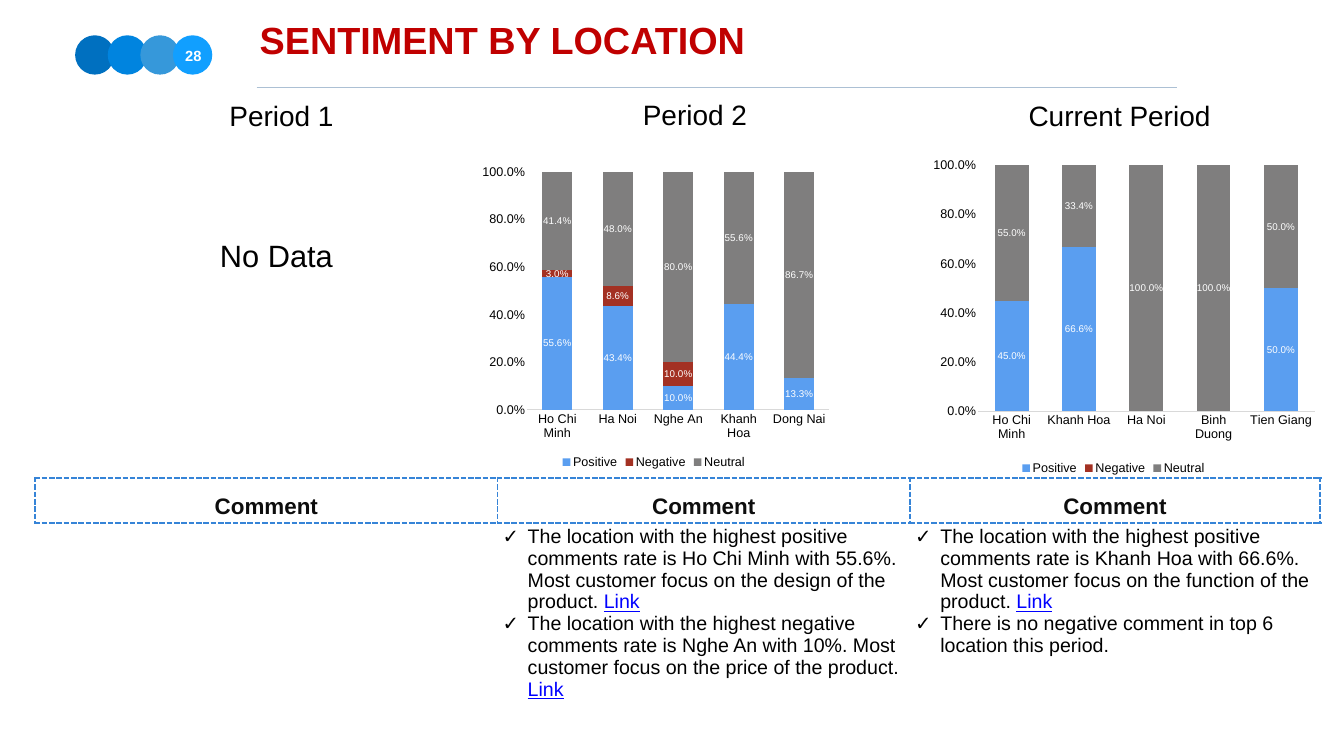
"""Build the slide that compares sentiment by location across three periods."""
from dataclasses import dataclass

from lxml.etree import SubElement
from pptx import Presentation
from pptx.chart.data import CategoryChartData
from pptx.dml.color import RGBColor
from pptx.enum.chart import XL_CHART_TYPE as ChartType, XL_LABEL_POSITION as LabelPosition
from pptx.enum.chart import XL_LEGEND_POSITION as LegendPosition, XL_TICK_MARK as TickMark
from pptx.enum.shapes import MSO_CONNECTOR as Connector, MSO_SHAPE as Shape
from pptx.enum.text import MSO_ANCHOR as Anchor, MSO_AUTO_SIZE as AutoSize, PP_ALIGN as Align
from pptx.oxml import parse_xml
from pptx.oxml.ns import nsdecls, qn
from pptx.util import Pt


@dataclass(frozen=True)
class Theme:
    font: str = "Arial"
    title: str = "C00000"
    text: str = "000000"
    header: str = "0D0D0D"
    white: str = "FFFFFF"
    link: str = "0000FF"
    rule: str = "ACC0D4"
    axis: str = "D9D9D9"
    border: str = "3684D7"
    circles: tuple = ("0070C0", "0084DF", "3698DA", "119FFF")
    series: tuple = ("5A9EF0", "A33123", "7F7E7E")
    title_size: int = 54
    empty_size: int = 44
    heading_size: int = 40
    header_size: int = 32
    body_size: int = 28
    number_size: int = 21
    chart_size: int = 18
    label_size: int = 14


THEME = Theme()
TITLE = "SENTIMENT BY LOCATION"
PAGE_NUMBER = "28"
SERIES = ("Positive", "Negative", "Neutral")
HEADINGS = [
    ("Period 1", (297.4, 136, 209.5, 57)),
    ("Period 2", (902.9, 135.4, 180, 57)),
    ("Current Period", (1454.4, 136, 290.2, 57)),
]
CHARTS = [
    {
        "box": (671, 192.2, 526.3, 481.7),
        "plot": (0.156, 0.111, 0.821, 0.705),
        "locations": ("Ho Chi Minh", "Ha Noi", "Nghe An", "Khanh Hoa", "Dong Nai"),
        "values": (
            (0.556, 0.434, 0.1, 0.444, 0.133),
            (0.03, 0.086, 0.1, None, None),
            (0.414, 0.48, 0.8, 0.556, 0.867),
        ),
    },
    {
        "box": (1300.3, 226, 581, 456.5),
        "plot": (0.167, 0.022, 0.828, 0.77),
        "locations": ("Ho Chi Minh", "Khanh Hoa", "Ha Noi", "Binh Duong", "Tien Giang"),
        "values": (
            (0.45, 0.666, None, None, 0.5),
            (None,) * 5,
            (0.55, 0.334, 1, 1, 0.5),
        ),
    },
]
COMMENTS = [
    [],
    [
        ("The location with the highest positive comments rate is Ho Chi Minh with 55.6%. "
         "Most customer focus on the design of the product. ", "Link"),
        ("The location with the highest negative comments rate is Nghe An with 10%. "
         "Most customer focus on the price of the product. ", "Link"),
    ],
    [
        ("The location with the highest positive comments rate is Khanh Hoa with 66.6%. "
         "Most customer focus on the function of the product. ", "Link"),
        ("There is no negative comment in top 6 location this period.", ""),
    ],
]
COLUMN_EDGES = (50.4, 710.8, 1300.3, 1885.7)
TABLE_TOP, HEADER_HEIGHT, BODY_HEIGHT = 682.6, 55, 269
CIRCLE_LEFT, CIRCLE_TOP, CIRCLE_SIZE, CIRCLE_STEP = 107.3, 50.4, 56.2, 46.6


def color(code):
    return RGBColor.from_string(code)


def points(box):
    return [Pt(length) for length in box]


def style(font, size, code, bold=False):
    font.name, font.size, font.bold = THEME.font, Pt(size), bold
    font.color.rgb = color(code)


def fill_solid(target, code):
    target.fill.solid()
    target.fill.fore_color.rgb = color(code)


def set_margins(frame):
    frame.margin_left = frame.margin_right = frame.margin_top = frame.margin_bottom = Pt(4.5)


def add_label(page, text, box, size, code=THEME.text, bold=False, anchor=Anchor.MIDDLE, wrap=True):
    frame = page.shapes.add_textbox(*points(box)).text_frame
    set_margins(frame)
    frame.word_wrap, frame.vertical_anchor = wrap, anchor
    para = frame.paragraphs[0]
    para.text, para.alignment = text, Align.CENTER
    style(para.font, size, code, bold)


def add_title(page):
    title = page.shapes.title
    title.left, title.top, title.width, title.height = points((366.5, 19.4, 1449.4, 89.3))
    frame = title.text_frame
    set_margins(frame)
    frame.auto_size, frame.vertical_anchor = AutoSize.NONE, Anchor.TOP
    para = frame.paragraphs[0]
    para.text, para.alignment = TITLE, Align.LEFT
    style(para.font, THEME.title_size, THEME.title, bold=True)


def add_banner(page):
    for index, code in enumerate(THEME.circles):
        box = (CIRCLE_LEFT + index * CIRCLE_STEP, CIRCLE_TOP, CIRCLE_SIZE, CIRCLE_SIZE)
        circle = page.shapes.add_shape(Shape.OVAL, *points(box))
        circle.shadow.inherit = False
        fill_solid(circle, code)
        circle.line.fill.background()
    rule = page.shapes.add_connector(Connector.STRAIGHT, *points((366.5, 125.3, 1682, 125.3)))
    rule.line.color.rgb, rule.line.width = color(THEME.rule), Pt(2)
    SubElement(rule.element.spPr, qn("a:effectLst"))
    add_label(page, PAGE_NUMBER, (259.2, 62, 34, 34), THEME.number_size, THEME.white,
              bold=True, anchor=Anchor.TOP, wrap=False)


def add_sentiment_chart(page, content):
    data = CategoryChartData(number_format="0.0%")
    data.categories = content["locations"]
    for name, values in zip(SERIES, content["values"]):
        data.add_series(name, values)
    chart = page.shapes.add_chart(ChartType.COLUMN_STACKED, *points(content["box"]), data).chart
    style(chart.font, THEME.chart_size, THEME.text)
    chart.has_title, chart.has_legend = False, True
    chart.legend.position, chart.legend.include_in_layout = LegendPosition.BOTTOM, False
    for axis in (chart.category_axis, chart.value_axis):
        axis.major_tick_mark = axis.minor_tick_mark = TickMark.NONE
        axis.has_major_gridlines = False
    line = chart.category_axis.format.line
    line.color.rgb, line.width = color(THEME.axis), Pt(0.75)
    scale = chart.value_axis
    scale.format.line.fill.background()
    scale.minimum_scale, scale.maximum_scale, scale.major_unit = 0, 1, 0.2
    scale.tick_labels.number_format, scale.tick_labels.number_format_is_linked = "0.0%", False
    plot = chart.plots[0]
    plot.gap_width, plot.overlap, plot.vary_by_categories = 100, 100, False
    for series, code in zip(plot.series, THEME.series):
        fill_solid(series.format, code)
        labels = series.data_labels
        labels.show_value, labels.position = True, LabelPosition.CENTER
        labels.number_format, labels.number_format_is_linked = "0.0%", False
        style(labels.font, THEME.label_size, THEME.white)
    place_plot(chart, content["plot"])


def place_plot(chart, box):
    area = chart.element.find(".//" + qn("c:plotArea"))
    for old in area.findall(qn("c:layout")):
        area.remove(old)
    parts = [("layoutTarget", "inner"), ("xMode", "edge"), ("yMode", "edge"), *zip("xywh", box)]
    inner = "".join(f'<c:{tag} val="{value}"/>' for tag, value in parts)
    area.insert(0, parse_xml(
        f'<c:layout {nsdecls("c")}><c:manualLayout>{inner}</c:manualLayout></c:layout>'))


def set_borders(cell, dashed_sides):
    properties = cell._tc.get_or_add_tcPr()
    for side in "LRTB":
        line = SubElement(properties, qn(f"a:ln{side}"), w=str(Pt(3)))
        if side in dashed_sides:
            paint = SubElement(line, qn("a:solidFill"))
            SubElement(paint, qn("a:srgbClr"), val=THEME.border)
            SubElement(line, qn("a:prstDash"), val="sysDash")
        else:
            SubElement(line, qn("a:noFill"))


def add_comment_table(page, left, right, comments):
    box = (left, TABLE_TOP, right - left, HEADER_HEIGHT + BODY_HEIGHT)
    table = page.shapes.add_table(2, 1, *points(box)).table
    table.rows[0].height, table.rows[1].height = Pt(HEADER_HEIGHT), Pt(BODY_HEIGHT)
    header, body = table.cell(0, 0), table.cell(1, 0)
    set_borders(header, "LRTB")
    set_borders(body, "T")
    fill_solid(header, THEME.white)
    body.fill.background()
    header.vertical_anchor = Anchor.MIDDLE
    para = header.text_frame.paragraphs[0]
    para.text, para.alignment, para.line_spacing = "Comment", Align.CENTER, 1.5
    style(para.font, THEME.header_size, THEME.header, bold=True)
    frame = body.text_frame
    for index, (text, link) in enumerate(comments):
        para = frame.add_paragraph() if index else frame.paragraphs[0]
        properties = para._p.get_or_add_pPr()
        properties.set("marL", str(Pt(36)))
        properties.set("indent", str(Pt(-36)))
        SubElement(properties, qn("a:buFont"), typeface=THEME.font)
        SubElement(properties, qn("a:buChar"), char="✓")
        style(para.font, THEME.body_size, THEME.text)
        para.add_run().text = text
        if link:
            span = para.add_run()
            span.text, span.font.underline = link, True
            span.font.color.rgb = color(THEME.link)


def main():
    deck = Presentation()
    deck.slide_width, deck.slide_height = Pt(1920.24), Pt(1080)
    page = deck.slides.add_slide(deck.slide_layouts[5])
    add_title(page)
    add_banner(page)
    for text, box in HEADINGS:
        add_label(page, text, box, THEME.heading_size)
    add_label(page, "No Data", (247, 334, 296, 61), THEME.empty_size)
    for content in CHARTS:
        add_sentiment_chart(page, content)
    for left, right, comments in zip(COLUMN_EDGES, COLUMN_EDGES[1:], COMMENTS):
        add_comment_table(page, left, right, comments)
    deck.save("out.pptx")


if __name__ == "__main__":
    main()
